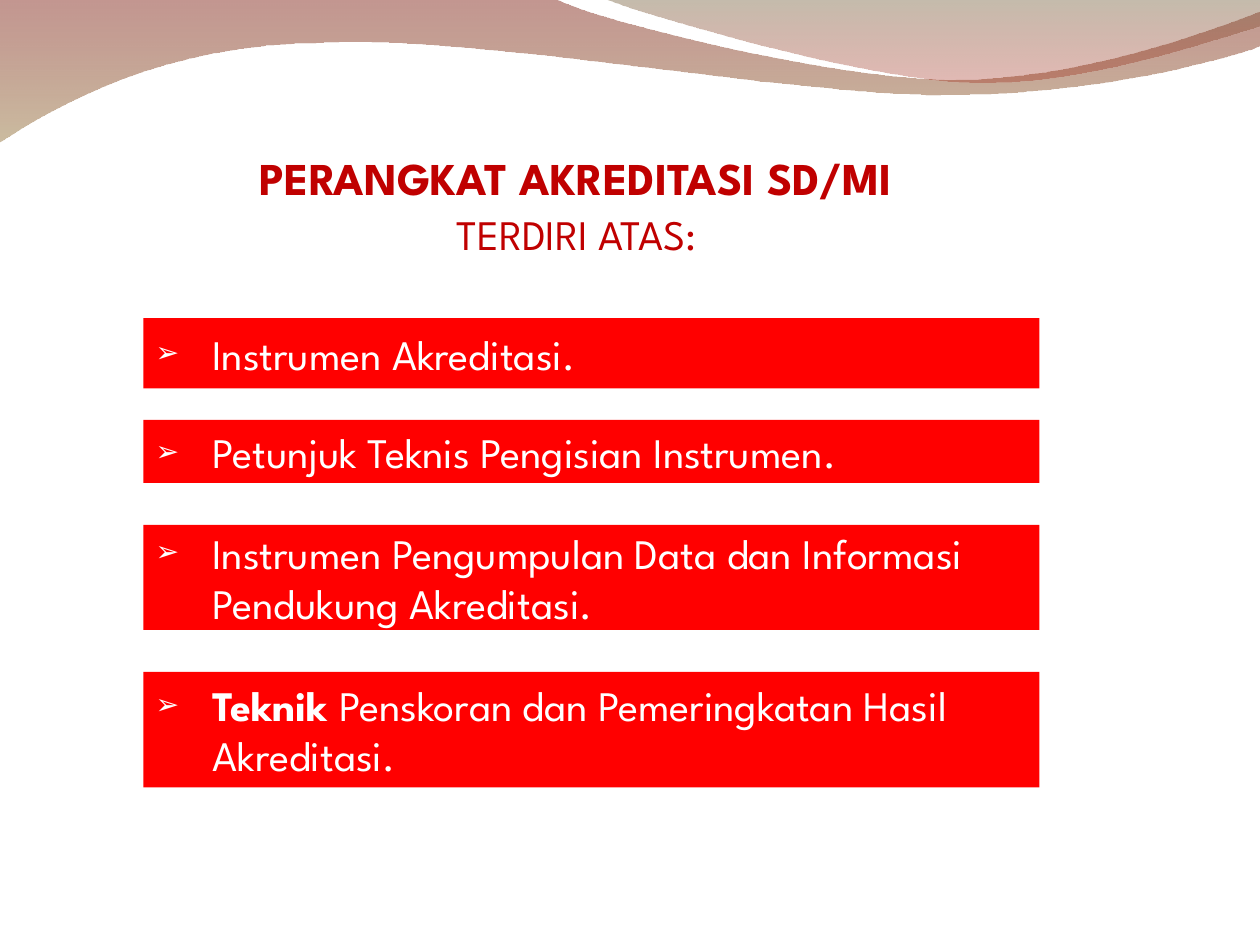
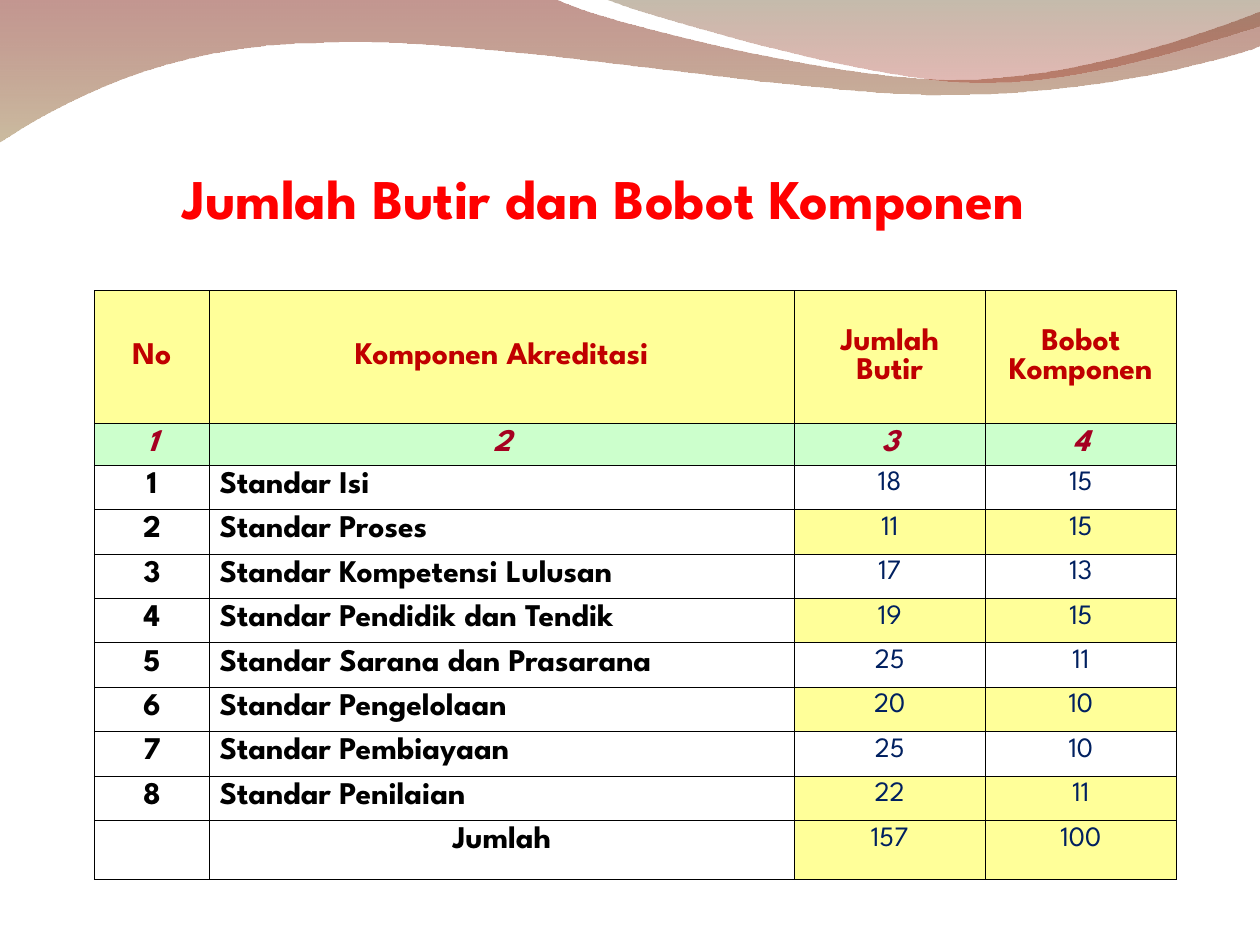
import dataclasses
import typing

import lxml.etree
import pptx
import pptx.dml.color
import pptx.enum.shapes
import pptx.enum.text
import pptx.oxml.ns
import pptx.util

Align = pptx.enum.text.PP_ALIGN
Anchor = pptx.enum.text.MSO_ANCHOR

# The slide is a grid of 120 columns by 90 rows
WIDTH, HEIGHT = pptx.util.Inches(10), pptx.util.Inches(7.5)
COLUMN, ROW = WIDTH / 120, HEIGHT / 90


@dataclasses.dataclass(frozen=True)
class Theme:
    font: str = "League Spartan"
    bullet_font: str = "Arial"
    red: str = "FF0000"
    dark_red: str = "C00000"
    crimson: str = "A50021"
    navy: str = "002060"
    black: str = "000000"
    white: str = "FFFFFF"
    yellow: str = "FFFF99"
    green: str = "CCFFCC"
    title_size: float = 32
    heading_size: float = 26
    body_size: float = 24
    label_size: float = 18
    value_size: float = 16
    outer_border: float = 0.75
    inner_border: float = 0.45


THEME = Theme()


class Area(typing.NamedTuple):
    """Left, top, width and height in grid columns and rows."""
    left: float
    top: float
    width: float
    height: float

    def emu(self) -> list[int]:
        return [round(n * unit) for n, unit in zip(self, (COLUMN, ROW) * 2)]


class GradientStop(typing.NamedTuple):
    colour: str
    opacity: int


class Wave(typing.NamedTuple):
    """Outline in tenths of the slide's width: two values make a line, six a curve."""
    start: tuple[float, float]
    segments: list[tuple[float, ...]]
    stops: tuple[GradientStop, GradientStop]


class Item(typing.NamedTuple):
    top: float
    height: float
    text: str
    lead: str = ""


class Standard(typing.NamedTuple):
    name: str
    questions: int
    weight: int


class CellStyle(typing.NamedTuple):
    colour: str
    size: float
    fill: str | None = None
    bold: bool = True
    italic: bool = False
    align: Align = Align.CENTER
    anchor: Anchor = Anchor.TOP


WAVES = [
    Wave((0, -0.01), [
        (4.4, -0.01), (4.76, 0.17, 6.64, 0.63, 7.58, 0.63),
        (8.53, 0.63, 9.58, 0.26, 10, 0.09), (10.01, 0.36),
        (9.83, 0.44, 8.7, 0.76, 7.46, 0.75), (6.22, 0.75, 3.82, 0.28, 2.57, 0.34),
        (1.29, 0.35, 0.46, 0.83, -0.01, 1.13), (0, -0.01)],
        (GradientStop("7A170A", 45), GradientStop("A08451", 55))),
    Wave((4.79, -0.01), [
        (5.09, 0.11, 6.82, 0.62, 7.69, 0.65),
        (8.56, 0.69, 9.61, 0.32, 10, 0.21), (10, 0), (4.79, -0.01)],
        (GradientStop("7C6946", 45), GradientStop("9E1504", 30))),
]

ITEMS = [
    Item(30.3, 6.7, "Instrumen Akreditasi."),
    Item(40, 6, "Petunjuk Teknis Pengisian Instrumen."),
    Item(50, 10, "Instrumen Pengumpulan Data dan Informasi Pendukung Akreditasi."),
    Item(64, 11, "Penskoran dan Pemeringkatan Hasil Akreditasi.", lead="Teknik "),
]

HEADERS = ["No", "Komponen Akreditasi", "Jumlah Butir", "Bobot Komponen"]
STANDARDS = [
    Standard("Standar Isi", 18, 15),
    Standard("Standar Proses", 11, 15),
    Standard("Standar Kompetensi Lulusan", 17, 13),
    Standard("Standar Pendidik dan Tendik", 19, 15),
    Standard("Standar Sarana dan Prasarana", 25, 11),
    Standard("Standar Pengelolaan", 20, 10),
    Standard("Standar Pembiayaan", 25, 10),
    Standard("Standar Penilaian", 22, 11),
]
COLUMN_WIDTHS = [10.95, 55.7, 18.2, 18.2]
ROW_HEIGHTS = [12.6, 4] + [4.23] * len(STANDARDS) + [5.6]

HEADER = CellStyle(THEME.dark_red, THEME.label_size, THEME.yellow, anchor=Anchor.MIDDLE)
NUMBERING = CellStyle(THEME.crimson, THEME.label_size, THEME.green, italic=True)
LABEL = CellStyle(THEME.black, THEME.label_size)
NAME = LABEL._replace(align=Align.LEFT)
VALUE = CellStyle(THEME.navy, THEME.value_size, bold=False)
SHADED_VALUE = VALUE._replace(fill=THEME.yellow)


def rgb(colour: str) -> pptx.dml.color.RGBColor:
    return pptx.dml.color.RGBColor.from_string(colour)


def add_xml(parent, tag: str, **attributes: str):
    return lxml.etree.SubElement(parent, pptx.oxml.ns.qn(tag), attributes)


def write(paragraph, text: str, *, size: float, colour: str, bold: bool = False,
          italic: bool = False, align: Align = Align.LEFT) -> None:
    paragraph.alignment = align
    run = paragraph.add_run()
    run.text = text
    font = run.font
    font.name, font.size = THEME.font, pptx.util.Pt(size)
    font.bold, font.italic = bold, italic
    font.color.rgb = rgb(colour)


def set_insets(holder, insets: tuple[float, float, float, float]) -> None:
    (holder.margin_left, holder.margin_top,
     holder.margin_right, holder.margin_bottom) = map(pptx.util.Inches, insets)


def add_panel(slide, area: Area, fill: str, anchor: Anchor = Anchor.MIDDLE,
              insets: tuple[float, float, float, float] = (0.1, 0.05, 0.1, 0.05)):
    """Draw a filled rectangle and return its text frame."""
    panel = slide.shapes.add_shape(
        pptx.enum.shapes.MSO_SHAPE.RECTANGLE, *area.emu())
    panel.shadow.inherit = False
    panel.fill.solid()
    panel.fill.fore_color.rgb = rgb(fill)
    panel.line.fill.background()
    frame = panel.text_frame
    frame.word_wrap = True
    frame.vertical_anchor = anchor
    set_insets(frame, insets)
    return frame


def bend_segments(band, segments: list[tuple[float, ...]]) -> None:
    """Merge each three lines that stand for a curve into one Bézier element."""
    lines = iter(list(band._element.iter(pptx.oxml.ns.qn("a:lnTo"))))
    for segment in segments:
        first = next(lines)
        if len(segment) == 6:
            curve = lxml.etree.Element(pptx.oxml.ns.qn("a:cubicBezTo"))
            first.addprevious(curve)
            for line in (first, next(lines), next(lines)):
                curve.append(line[0])
                line.getparent().remove(line)


def add_wave(slide, wave: Wave) -> None:
    unit = WIDTH / 10
    points = [(round(x * unit), round(y * unit)) for segment in wave.segments
              for x, y in zip(segment[::2], segment[1::2])]
    builder = slide.shapes.build_freeform(*(round(n * unit) for n in wave.start))
    builder.add_line_segments(points, close=True)
    band = builder.convert_to_shape()
    bend_segments(band, wave.segments)
    band.shadow.inherit = False
    band.line.fill.background()
    band.fill.gradient()
    band.fill.gradient_angle = 270
    for gradient_stop, wave_stop in zip(band.fill.gradient_stops, wave.stops):
        gradient_stop.color.rgb = rgb(wave_stop.colour)
    colours = band._element.spPr.iter(pptx.oxml.ns.qn("a:srgbClr"))
    for colour, wave_stop in zip(colours, wave.stops):
        add_xml(colour, "a:alpha", val=str(wave_stop.opacity * 1000))


def add_slide(deck):
    """Add a blank slide with the shared waves on top."""
    slide = deck.slides.add_slide(deck.slide_layouts[6])
    for wave in WAVES:
        add_wave(slide, wave)
    return slide


def add_item(slide, item: Item) -> None:
    frame = add_panel(slide, Area(13.65, item.top, 85.35, item.height), THEME.red)
    paragraph = frame.paragraphs[0]
    properties = paragraph._p.get_or_add_pPr()
    indent = pptx.util.Inches(0.45)
    properties.set("marL", str(indent))
    properties.set("indent", str(-indent))
    add_xml(properties, "a:buSzPct", val="67000")
    add_xml(properties, "a:buFont", typeface=THEME.bullet_font)
    add_xml(properties, "a:buChar", char="➢")
    body = dict(size=THEME.body_size, colour=THEME.white)
    if item.lead:
        write(paragraph, item.lead, bold=True, **body)
    write(paragraph, item.text, **body)


def add_borders(cell, outer_sides: dict[str, bool]) -> None:
    properties = cell._tc.get_or_add_tcPr()
    for side, is_outer in outer_sides.items():
        width = THEME.outer_border if is_outer else THEME.inner_border
        line = add_xml(properties, f"a:ln{side}", w=str(pptx.util.Pt(width)))
        add_xml(add_xml(line, "a:solidFill"), "a:srgbClr", val=THEME.black)


def fill_cell(cell, text: str, style: CellStyle) -> None:
    set_insets(cell, (0.08, 0.05, 0.08, 0.05))
    cell.vertical_anchor = style.anchor
    if style.fill:
        cell.fill.solid()
        cell.fill.fore_color.rgb = rgb(style.fill)
    else:
        cell.fill.background()
    if text:
        write(cell.text_frame.paragraphs[0], text, size=style.size, colour=style.colour,
              bold=style.bold, italic=style.italic, align=style.align)


def component_rows() -> list[list[tuple[str, CellStyle]]]:
    rows = [[(header, HEADER) for header in HEADERS],
            [(str(n), NUMBERING) for n in range(1, len(HEADERS) + 1)]]
    for n, standard in enumerate(STANDARDS, start=1):
        value = VALUE if n % 2 else SHADED_VALUE
        rows.append([(str(n), LABEL), (standard.name, NAME),
                     (str(standard.questions), value), (str(standard.weight), value)])
    questions = sum(standard.questions for standard in STANDARDS)
    weights = sum(standard.weight for standard in STANDARDS)
    rows.append([("", LABEL), ("Jumlah", LABEL),
                 (str(questions), SHADED_VALUE), (str(weights), SHADED_VALUE)])
    return rows


def add_components(slide) -> None:
    area = Area(9, 27.7, sum(COLUMN_WIDTHS), sum(ROW_HEIGHTS))
    last_row, last_column = len(ROW_HEIGHTS) - 1, len(COLUMN_WIDTHS) - 1
    components = slide.shapes.add_table(last_row + 1, last_column + 1, *area.emu()).table
    components.first_row = components.horz_banding = False
    for column, width in zip(components.columns, COLUMN_WIDTHS):
        column.width = round(width * COLUMN)
    for row, height in zip(components.rows, ROW_HEIGHTS):
        row.height = round(height * ROW)
    for r, contents in enumerate(component_rows()):
        for c, (text, style) in enumerate(contents):
            cell = components.cell(r, c)
            add_borders(cell, {"L": c == 0, "R": c == last_column,
                               "T": r == 0, "B": r == last_row})
            fill_cell(cell, text, style)


def build_instruments(deck) -> None:
    slide = add_slide(deck)
    heading = add_panel(slide, Area(12, 13, 80, 13), THEME.white,
                        insets=(0.58, 0.05, 0.1, 0.05))
    write(heading.paragraphs[0], "PERANGKAT AKREDITASI SD/MI", size=THEME.heading_size,
          colour=THEME.dark_red, bold=True, align=Align.CENTER)
    subheading = heading.add_paragraph()
    subheading.space_before = pptx.util.Pt(2)
    write(subheading, "TERDIRI ATAS:", size=THEME.body_size,
          colour=THEME.dark_red, align=Align.CENTER)
    for item in ITEMS:
        add_item(slide, item)


def build_weights(deck) -> None:
    slide = add_slide(deck)
    title = add_panel(slide, Area(9, 13, 97, 9), THEME.white, Anchor.BOTTOM,
                      insets=(0, 0.05, 0, 0))
    write(title.paragraphs[0], "Jumlah Butir dan Bobot Komponen", size=THEME.title_size,
          colour=THEME.red, bold=True, align=Align.CENTER)
    add_components(slide)


def main() -> None:
    deck = pptx.Presentation()
    deck.slide_width, deck.slide_height = WIDTH, HEIGHT
    build_instruments(deck)
    build_weights(deck)
    deck.save("out.pptx")


if __name__ == "__main__":
    main()
